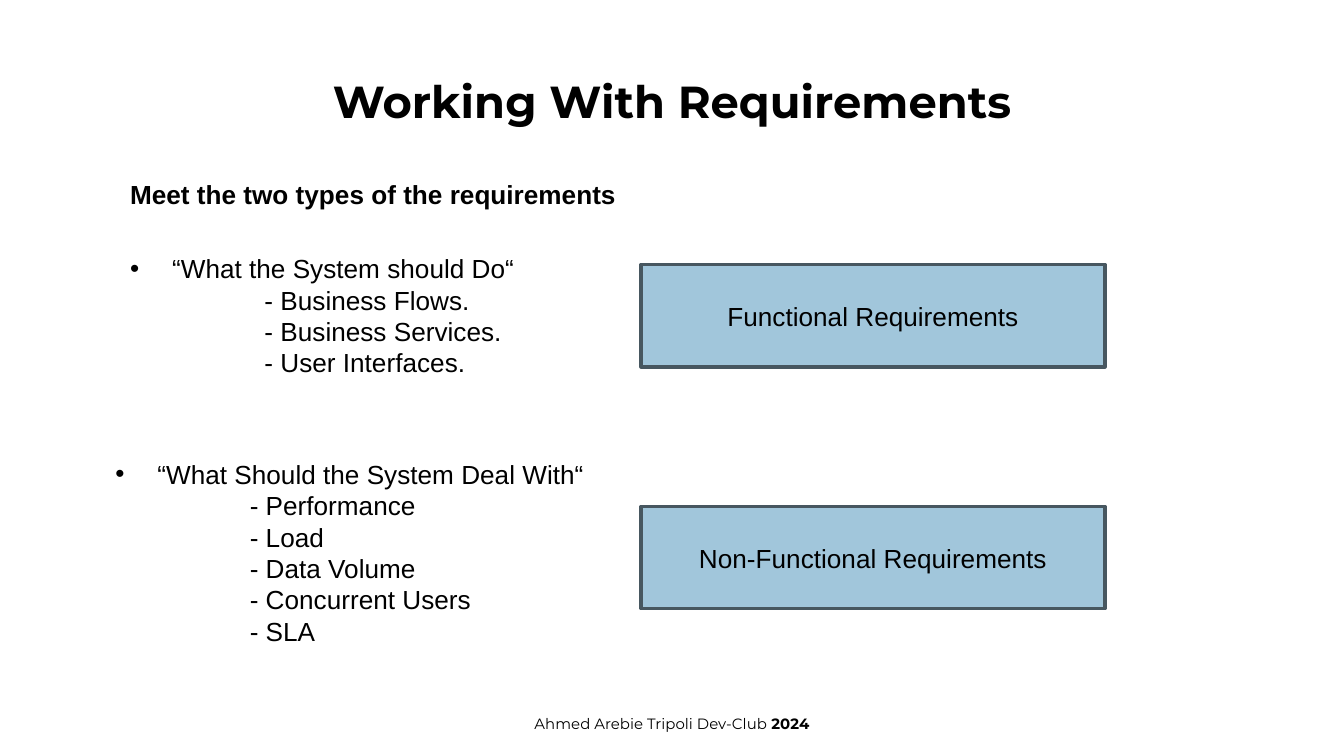
from dataclasses import dataclass

from lxml import etree
from pptx import Presentation
from pptx.dml.color import RGBColor
from pptx.enum.shapes import MSO_SHAPE
from pptx.enum.text import MSO_ANCHOR, PP_ALIGN
from pptx.oxml.ns import qn
from pptx.util import Pt

RECT = MSO_SHAPE.RECTANGLE
TOP, MIDDLE = MSO_ANCHOR.TOP, MSO_ANCHOR.MIDDLE
LEFT, CENTER = PP_ALIGN.LEFT, PP_ALIGN.CENTER

COLORS = {"text": "000000", "fill": "A1C6DB", "border": "475760"}
HEADING_FONT, BODY_FONT = "Montserrat", "Arial"
BODY_SIZE = 14
BULLET_INDENT, ITEM_INDENT = 22.5, 72
LABEL_LEFT, LABEL_WIDTH, LABEL_HEIGHT = 343.5, 248.4, 54.7


@dataclass
class Box:
    left: float
    top: float
    width: float
    height: float


@dataclass
class RequirementType:
    label: str
    label_top: float
    question: str
    items: list[str]
    box: Box


REQUIREMENT_TYPES = [
    RequirementType(
        "Functional Requirements", 141.8, "“What the System should Do“",
        ["Business Flows.", "Business Services.", "User Interfaces."],
        Box(62.6, 131.8, 270, 72),
    ),
    RequirementType(
        "Non-Functional Requirements", 271.4, "“What Should the System Deal With“",
        ["Performance", "Load", "Data Volume", "Concurrent Users", "SLA"],
        Box(54.7, 241.9, 278, 108),
    ),
]


def color(name: str) -> RGBColor:
    return RGBColor.from_string(COLORS[name])


def style_run(r, font: str, size: float, bold: bool = False) -> None:
    r.font.name = font
    r.font.size = Pt(size)
    r.font.bold = bold
    r.font.color.rgb = color("text")


def add_text(s, box: Box, text: str, font: str, size: float, bold: bool = False,
             align=LEFT, anchor=TOP, inset: float = 3.6):
    """Add a wrapped text box with a vertical inset and return its text frame."""
    sp = s.shapes.add_textbox(Pt(box.left), Pt(box.top), Pt(box.width), Pt(box.height))
    tf = sp.text_frame
    tf.word_wrap = True
    tf.vertical_anchor = anchor
    tf.margin_top = tf.margin_bottom = Pt(inset)
    tf.text = text
    p = tf.paragraphs[0]
    p.alignment = align
    style_run(p.runs[0], font, size, bold)
    return tf


def set_indent(p, left: float, first: float = 0, bullet: str = "") -> None:
    pPr = p._p.get_or_add_pPr()
    pPr.set("marL", str(Pt(left)))
    pPr.set("indent", str(Pt(first)))
    if bullet:
        font = etree.SubElement(pPr, qn("a:buFont"))
        font.set("typeface", BODY_FONT)
        etree.SubElement(pPr, qn("a:buChar")).set("char", bullet)


def add_question(s, kind: RequirementType) -> None:
    tf = add_text(s, kind.box, kind.question, BODY_FONT, BODY_SIZE)
    set_indent(tf.paragraphs[0], BULLET_INDENT, -BULLET_INDENT, "•")
    for item in kind.items:
        p = tf.add_paragraph()
        p.text = f"- {item}"
        set_indent(p, ITEM_INDENT)
        style_run(p.runs[0], BODY_FONT, BODY_SIZE)


def add_label(s, kind: RequirementType) -> None:
    sp = s.shapes.add_shape(RECT, Pt(LABEL_LEFT), Pt(kind.label_top),
                            Pt(LABEL_WIDTH), Pt(LABEL_HEIGHT))
    sp.shadow.inherit = False
    sp.fill.solid()
    sp.fill.fore_color.rgb = color("fill")
    sp.line.color.rgb = color("border")
    sp.line.width = Pt(2)
    tf = sp.text_frame
    tf.vertical_anchor = MIDDLE
    tf.text = kind.label
    p = tf.paragraphs[0]
    p.alignment = CENTER
    style_run(p.runs[0], BODY_FONT, BODY_SIZE)


def main() -> None:
    prs = Presentation()
    prs.slide_width, prs.slide_height = Pt(720), Pt(405)
    s = prs.slides.add_slide(prs.slide_layouts[6])

    add_text(s, Box(35.5, 32.4, 649, 44), "Working With Requirements",
             HEADING_FONT, 24, bold=True, align=CENTER, inset=7.2)
    add_text(s, Box(62.6, 92.2, 404.6, 24.2), "Meet the two types of the requirements",
             BODY_FONT, BODY_SIZE, bold=True)
    for kind in REQUIREMENT_TYPES:
        add_question(s, kind)
        add_label(s, kind)

    footer = add_text(s, Box(242, 381, 236, 13), "Ahmed Arebie Tripoli Dev-Club ",
                      HEADING_FONT, 8, align=CENTER, anchor=MIDDLE, inset=0)
    r = footer.paragraphs[0].add_run()
    r.text = "2024"
    style_run(r, HEADING_FONT, 8, bold=True)

    prs.save("out.pptx")


if __name__ == "__main__":
    main()
